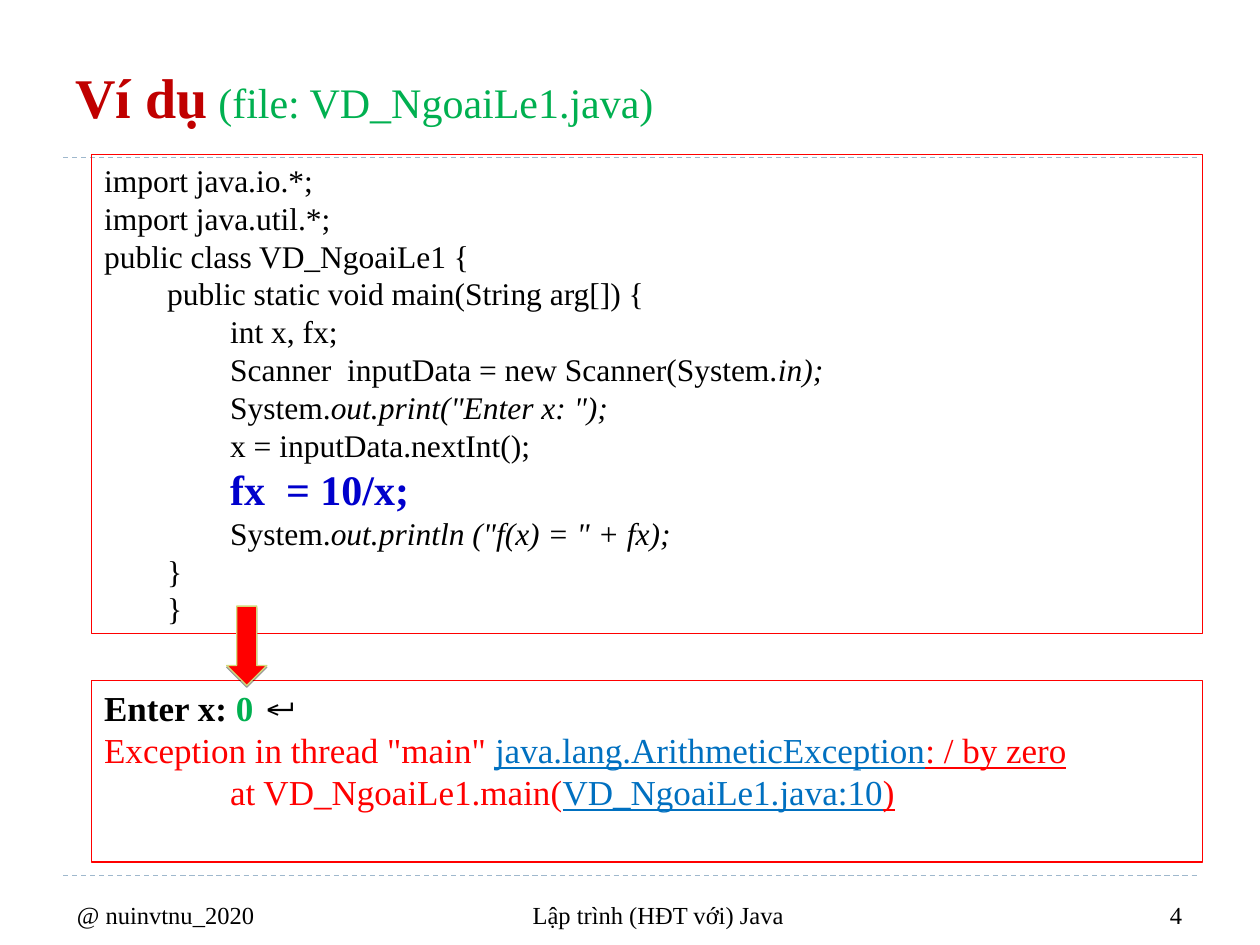
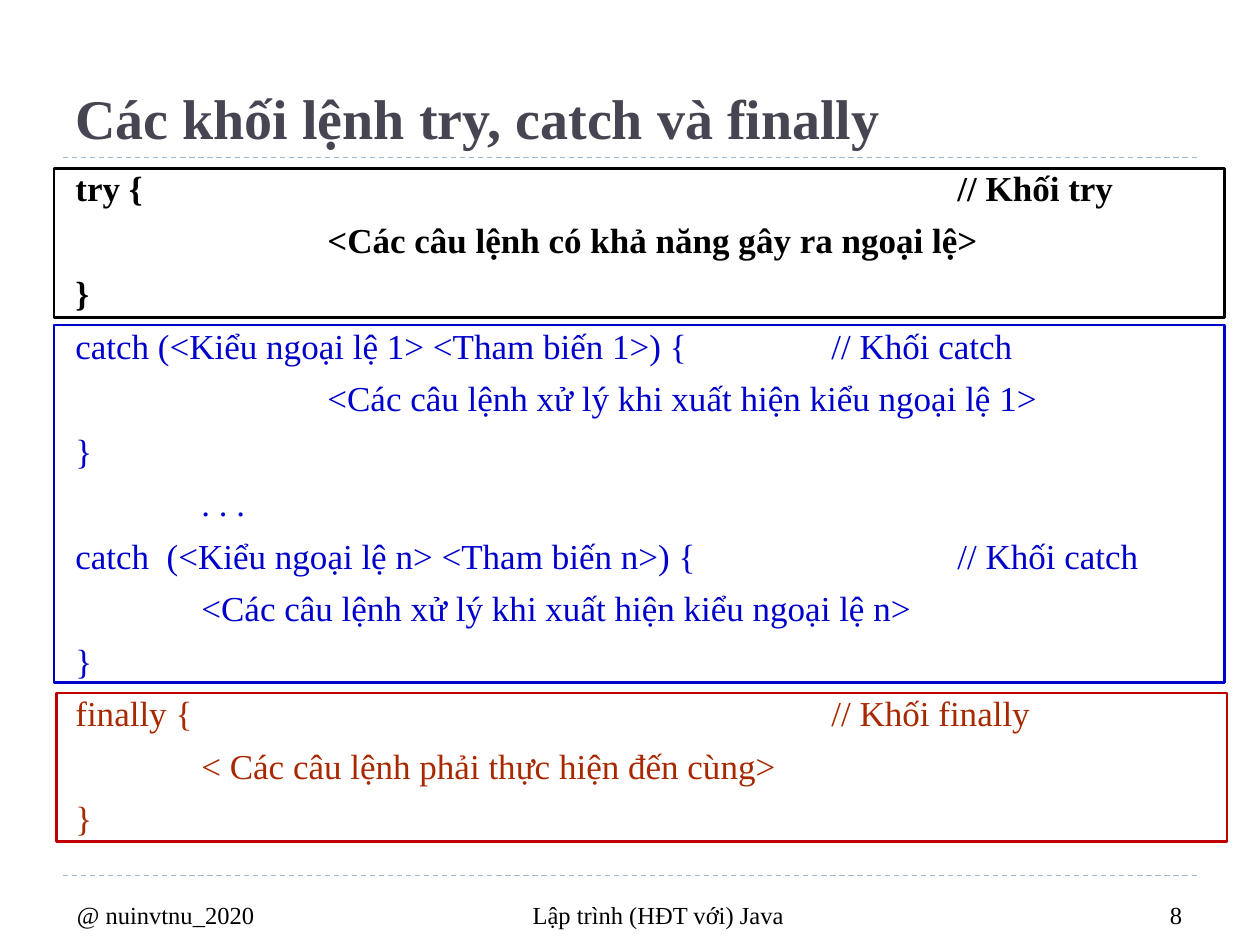
from lxml.etree import SubElement
from pptx import Presentation
from pptx.dml.color import RGBColor
from pptx.enum.dml import MSO_LINE
from pptx.enum.shapes import MSO_CONNECTOR, MSO_SHAPE
from pptx.enum.text import MSO_ANCHOR, PP_ALIGN
from pptx.oxml.ns import qn
from pptx.util import Cm, Pt

COLORS = {
    "black": "000000", "red": "FF0000", "dark red": "C00000", "green": "00B050",
    "blue": "0000CC", "link": "0070C0", "brown": "A82800", "slate": "464653",
    "rule": "9FB8CD", "lime": "D2DA7A",
}
FONT = "Times New Roman"
TAB = 2.54

# Run styles: only what differs from the paragraph's base style
ITALIC = {"italic": True}
RED = {"color": "red"}
RED_LINK = {"color": "red", "underline": True}
BLUE_LINK = {"color": "link", "underline": True}

# Shared footer: left, width, alignment, text (None stands for the slide number)
FOOTERS = [
    (1.3, 5.28, PP_ALIGN.LEFT, "@ nuinvtnu_2020"),
    (8.66, 9.22, PP_ALIGN.CENTER, "Lập trình (HĐT với) Java"),
    (18.8, 5.28, PP_ALIGN.RIGHT, None),
]
RULE_TOPS = [3.18, 17.65]

# Slide 4: each line is its indent level (half tabs) and its runs
EXAMPLE_TITLE = [
    ("Ví dụ", {"size": 32, "color": "dark red", "bold": True}),
    (" ", {}),
    ("(file: VD_NgoaiLe1.java)", {"color": "green"}),
]
CODE_LINES = [
    (0, [("import java.io.*;", {})]),
    (0, [("import java.util.*;", {})]),
    (0, [("public class VD_NgoaiLe1 {", {})]),
    (1, [("public static void main(String arg[]) {", {})]),
    (2, [("int x, fx;", {})]),
    (2, [("Scanner  inputData = new Scanner(System.", {}), ("in);", ITALIC)]),
    (2, [("System.", {}), ('out.print("Enter x: ");', ITALIC)]),
    (2, [("x = inputData.nextInt();", {})]),
    (2, [("fx  = 10/x;", {"size": 24, "color": "blue", "bold": True})]),
    (2, [("System.", {}), ('out.println ("f(x) = " + fx);', ITALIC)]),
    (1, [("}", {})]),
    (1, [("}", {})]),
]
OUTPUT_LINES = [
    (0, [("Enter x: ", {"bold": True}), ("0 ", {"bold": True, "color": "green"}),
         ("↵", {"bold": True, "font": "Arial"})]),
    (0, [('Exception in thread "main" ', RED),
         ("java.lang.ArithmeticException", BLUE_LINK), (": / by zero", RED_LINK)]),
    (0, [("\tat VD_NgoaiLe1.main(", RED),
         ("VD_NgoaiLe1.java:10", BLUE_LINK), (")", RED_LINK)]),
]

# Slide 8: text style, frame colour, frame place and lines of each block
BLOCKS_TITLE = [("Các khối lệnh try, catch và finally",
                 {"size": 32, "color": "slate", "bold": True})]
BLOCKS = [
    ({"bold": True}, "black", (1.09, 3.4, 23.6, 3), [
        "try {\t\t\t\t\t\t\t// Khối try",
        "\t\t<Các câu lệnh có khả năng gây ra ngoại lệ>",
        "}",
    ]),
    ({"color": "blue"}, "blue", (1.09, 6.55, 23.6, 7.21), [
        "catch (<Kiểu ngoại lệ 1> <Tham biến 1>) {\t\t// Khối catch",
        "\t\t<Các câu lệnh xử lý khi xuất hiện kiểu ngoại lệ 1>",
        "}",
        "\t. . .",
        "catch  (<Kiểu ngoại lệ n> <Tham biến n>) {\t\t\t// Khối catch",
        "\t<Các câu lệnh xử lý khi xuất hiện kiểu ngoại lệ n>",
        "}",
    ]),
    ({"color": "brown"}, "dark red", (1.14, 13.97, 23.6, 3), [
        "finally {\t\t\t\t\t\t// Khối finally",
        "\t< Các câu lệnh phải thực hiện đến cùng>",
        "}",
    ]),
]


def rgb(name):
    return RGBColor.from_string(COLORS[name])


def place(box):
    return [Cm(value) for value in box]


def add_tab_stops(paragraph):
    tab_list = SubElement(paragraph._p.get_or_add_pPr(), qn("a:tabLst"))
    for number in range(1, 8):
        SubElement(tab_list, qn("a:tab"), pos=str(Cm(TAB * number)), algn="l")


def write_lines(shape, lines, size, anchor=MSO_ANCHOR.TOP, align=PP_ALIGN.LEFT, space=0):
    frame = shape.text_frame
    frame.word_wrap = True
    frame.vertical_anchor = anchor
    for index, (level, runs) in enumerate(lines):
        paragraph = frame.add_paragraph() if index else frame.paragraphs[0]
        paragraph.alignment = align
        paragraph.space_before = Pt(space)
        if level:
            paragraph._p.get_or_add_pPr().set("marL", str(Cm(level * TAB / 2)))
        else:
            add_tab_stops(paragraph)
        for text, style in runs:
            run = paragraph.add_run()
            run.text = text
            font = run.font
            font.name = style.get("font", FONT)
            font.size = Pt(style.get("size", size))
            font.bold = style.get("bold", False)
            font.italic = style.get("italic", False)
            font.underline = style.get("underline", False)
            font.color.rgb = rgb(style.get("color", "black"))


def add_text(slide, box, lines, size, **options):
    write_lines(slide.shapes.add_textbox(*place(box)), lines, size, **options)


def add_frame(slide, box, color, width):
    shape = slide.shapes.add_shape(MSO_SHAPE.RECTANGLE, *place(box))
    shape.shadow.inherit = False
    shape.fill.background()
    shape.line.color.rgb = rgb(color)
    shape.line.width = Pt(width)
    return shape


def add_base_slide(presentation, title, title_height, number):
    slide = presentation.slides.add_slide(presentation.slide_layouts[6])
    # Dashed rules under the title and above the footer
    for top in RULE_TOPS:
        rule = slide.shapes.add_connector(
            MSO_CONNECTOR.STRAIGHT, Cm(1.27), Cm(top), Cm(24.13), Cm(top))
        rule.line.color.rgb = rgb("rule")
        rule.line.width = Pt(0.75)
        rule.line.dash_style = MSO_LINE.DASH
        SubElement(rule._element.spPr, qn("a:effectLst"))
    # Title and footer texts
    add_text(slide, (1.27, 0.43, 22.86, title_height), [(0, title)], 24,
             anchor=MSO_ANCHOR.BOTTOM)
    for left, width, align, text in FOOTERS:
        add_text(slide, (left, 17.6, width, 1.27), [(0, [(text or number, {})])], 14,
                 anchor=MSO_ANCHOR.BOTTOM, align=align)
    return slide


def add_down_arrow(slide, box):
    arrow = slide.shapes.add_shape(MSO_SHAPE.DOWN_ARROW, *place(box))
    arrow.fill.solid()
    arrow.fill.fore_color.rgb = rgb("red")
    arrow.line.color.rgb = rgb("lime")
    arrow.line.width = Pt(0.75)
    # Faint shadow just below the arrow
    arrow.shadow.inherit = False
    effects = arrow._element.spPr.find(qn("a:effectLst"))
    shadow = SubElement(effects, qn("a:outerShdw"), blurRad="0", dist=str(Pt(1)),
                        dir="5400000", rotWithShape="0")
    color = SubElement(shadow, qn("a:srgbClr"), val=COLORS["black"])
    SubElement(color, qn("a:alpha"), val="40000")


def add_example_slide(presentation):
    slide = add_base_slide(presentation, EXAMPLE_TITLE, 2.31, "4")
    for top, height, lines, size in [(3.12, 9.65, CODE_LINES, 18),
                                     (13.72, 3.66, OUTPUT_LINES, 20)]:
        frame = add_frame(slide, (1.85, top, 22.4, height), "red", 0.75)
        write_lines(frame, lines, size)
    add_down_arrow(slide, (4.57, 12.22, 0.81, 1.6))


def add_blocks_slide(presentation):
    slide = add_base_slide(presentation, BLOCKS_TITLE, 2.74, "8")
    lines = [(0, [(text, style)]) for style, _, _, texts in BLOCKS for text in texts]
    add_text(slide, (1.27, 3.23, 23.62, 14.35), lines, 20, space=6)
    for _, color, box, _ in BLOCKS:
        add_frame(slide, box, color, 1.5)


def main():
    presentation = Presentation()
    presentation.slide_width = Cm(25.4)
    presentation.slide_height = Cm(19.05)
    add_example_slide(presentation)
    add_blocks_slide(presentation)
    presentation.save("out.pptx")


if __name__ == "__main__":
    main()
